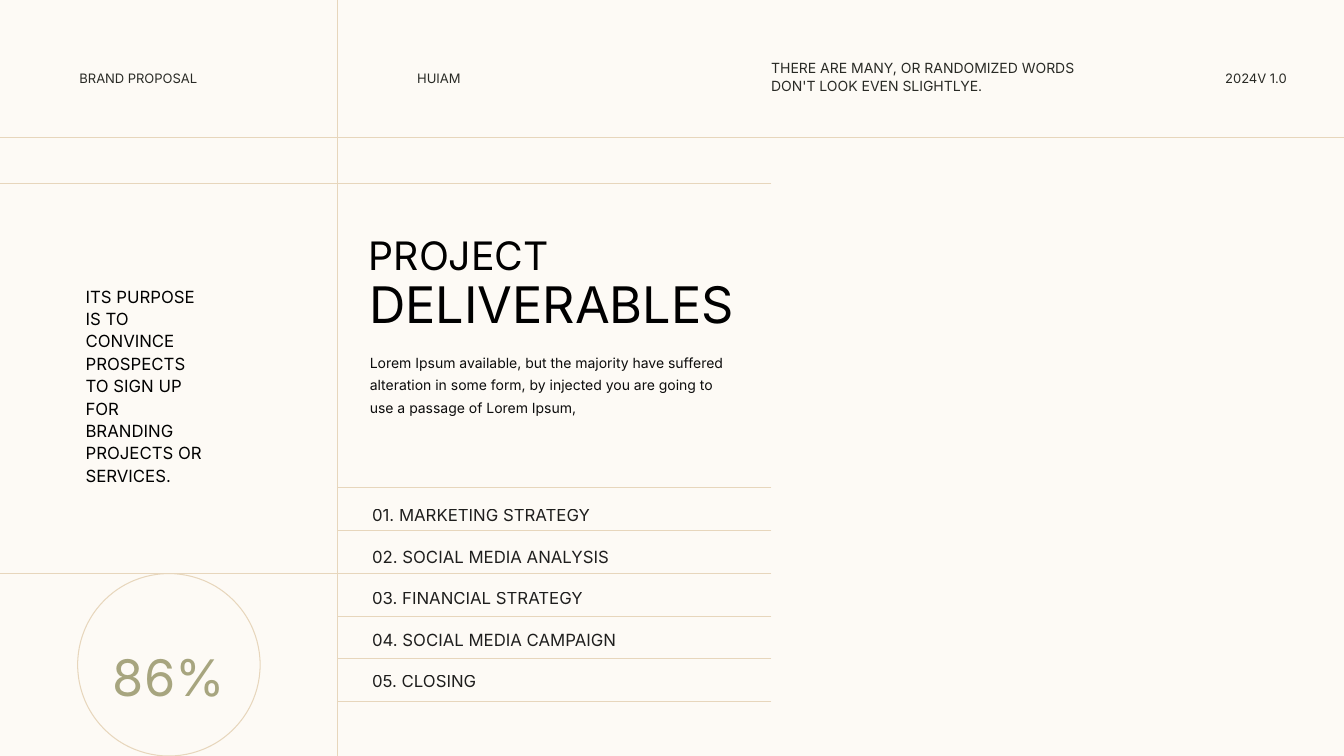
import pptx
import pptx.util
import pptx.dml.color
import pptx.enum.shapes
import pptx.enum.text
import pptx.oxml.ns
from lxml import etree

Inches, Pt = pptx.util.Inches, pptx.util.Pt
ALIGN = pptx.enum.text.PP_ALIGN
COLORS = {"paper": "FDFAF5", "rule": "E7D6BC", "header": "292A25",
          "black": "000000", "body": "0D0D0D", "accent": "A7A57F"}


def rgb(name):
    """Return the named colour."""
    return pptx.dml.color.RGBColor.from_string(COLORS[name])


def write(p, text, size=12, color="black", align=ALIGN.LEFT, leading=None,
          before=0, raised=False, alpha=None):
    """Fill a paragraph with one formatted run."""
    pPr = p._p.get_or_add_pPr()
    pPr.set("marL", "0")
    pPr.set("indent", "0")
    etree.SubElement(pPr, pptx.oxml.ns.qn("a:buNone"))
    p.alignment = align
    p.space_before = Pt(before)
    if leading:
        p.line_spacing = Pt(leading)
    r = p.add_run()
    r.text = text
    r.font.name = "Inter"
    r.font.size = Pt(size)
    r.font.color.rgb = rgb(color)
    if raised:
        r._r.get_or_add_rPr().set("baseline", "30000")
    if alpha:
        fill = r._r.rPr.find(".//" + pptx.oxml.ns.qn("a:srgbClr"))
        etree.SubElement(fill, pptx.oxml.ns.qn("a:alpha")).set("val", str(alpha * 1000))


class Deck:
    """Holds the style and the current slide."""

    def __init__(self):
        """Open a widescreen deck with one slide."""
        self.prs = pptx.Presentation()
        self.prs.slide_width, self.prs.slide_height = Inches(13.33), Inches(7.5)
        self.s = self.prs.slides.add_slide(self.prs.slide_layouts[1])
        self.s.background.fill.solid()
        self.s.background.fill.fore_color.rgb = rgb("paper")

    def fill_box(self, sp, box, texts, gap=0, **style):
        """Place a text shape and write its paragraphs."""
        sp.left, sp.top, sp.width, sp.height = map(Inches, box)
        tf = sp.text_frame
        tf.word_wrap = True
        tf.auto_size = pptx.enum.text.MSO_AUTO_SIZE.SHAPE_TO_FIT_TEXT
        tf.vertical_anchor = pptx.enum.text.MSO_ANCHOR.TOP
        for i, text in enumerate(texts):
            p = tf.add_paragraph() if i else tf.paragraphs[0]
            write(p, text, before=gap if i else 0, **style)

    def text(self, box, text, **style):
        """Add a text box."""
        self.fill_box(self.s.shapes.add_textbox(*map(Inches, box)), box, [text], **style)

    def title(self, box, text, **style):
        """Fill the title placeholder."""
        self.fill_box(self.s.shapes.title, box, [text], **style)

    def items(self, box, texts, **style):
        """Fill the body placeholder with a list."""
        self.fill_box(self.s.placeholders[1], box, texts, **style)

    def rule(self, x1, y1, x2, y2):
        """Add a thin straight line."""
        sp = self.s.shapes.add_connector(
            pptx.enum.shapes.MSO_CONNECTOR.STRAIGHT, *map(Inches, (x1, y1, x2, y2)))
        sp.line.color.rgb = rgb("rule")
        sp.line.width = Pt(0.5)
        etree.SubElement(sp._element.spPr, pptx.oxml.ns.qn("a:effectLst"))

    def circle(self, x, y, size):
        """Add an outlined circle."""
        sp = self.s.shapes.add_shape(
            pptx.enum.shapes.MSO_SHAPE.OVAL, *map(Inches, (x, y, size, size)))
        sp.shadow.inherit = False
        sp.fill.background()
        sp.line.color.rgb = rgb("rule")
        sp.line.width = Pt(0.75)


def main():
    """Build and save the slide."""
    deck = Deck()
    split, edge, list_top, row = 3.35, 7.65, 4.84, 0.424

    for left, width, label, align in (
            (0.69, 1.83, "BRAND PROPOSAL", ALIGN.LEFT),
            (4.04, 1.83, "HUIAM", ALIGN.LEFT),
            (11.82, 1.04, "2024V 1.0", ALIGN.RIGHT)):
        deck.text((left, 0.62, width, 0.28), label, size=16, color="header",
                  align=align, raised=True)
    deck.text((7.55, 0.53, 3.38, 0.45),
              "THERE ARE MANY, OR RANDOMIZED WORDS DON'T LOOK EVEN SLIGHTLYE.",
              size=10, color="header", leading=13)

    deck.rule(13.33, 1.36, 0, 1.36)
    deck.rule(edge, 1.82, 0, 1.82)
    deck.rule(split, 0, split, 7.5)
    for i in range(6):
        y = list_top + i * row
        deck.rule(edge, y, 0 if i == 2 else split, y)

    deck.text((3.56, 1.95, 2.11, 0.77), "PROJECT", size=28, leading=55)
    deck.title((3.56, 2.5, 4.07, 0.8), "DELIVERABLES", size=36, leading=55)
    deck.text((3.57, 3.41, 3.83, 0.75),
              "Lorem Ipsum available, but the majority have suffered alteration in some "
              "form, by injected you are going to use a passage of Lorem Ipsum,",
              size=10, color="body", leading=16)
    services = ("MARKETING STRATEGY", "SOCIAL MEDIA ANALYSIS", "FINANCIAL STRATEGY",
                "SOCIAL MEDIA CAMPAIGN", "CLOSING")
    deck.items((3.59, 4.96, 3.27, 1.95),
               [f"{n:02}. {name}" for n, name in enumerate(services, 1)],
               gap=15.2, alpha=88)

    deck.text((0.75, 2.77, 1.41, 2.1),
              "ITS PURPOSE IS TO CONVINCE PROSPECTS TO SIGN UP FOR BRANDING "
              "PROJECTS OR SERVICES.", leading=16)
    deck.circle(0.77, 5.69, 1.81)
    deck.text((1, 6.2, 1.35, 0.8), "86%", size=36, color="accent",
              align=ALIGN.CENTER, leading=55)
    deck.prs.save("out.pptx")


if __name__ == "__main__":
    main()
